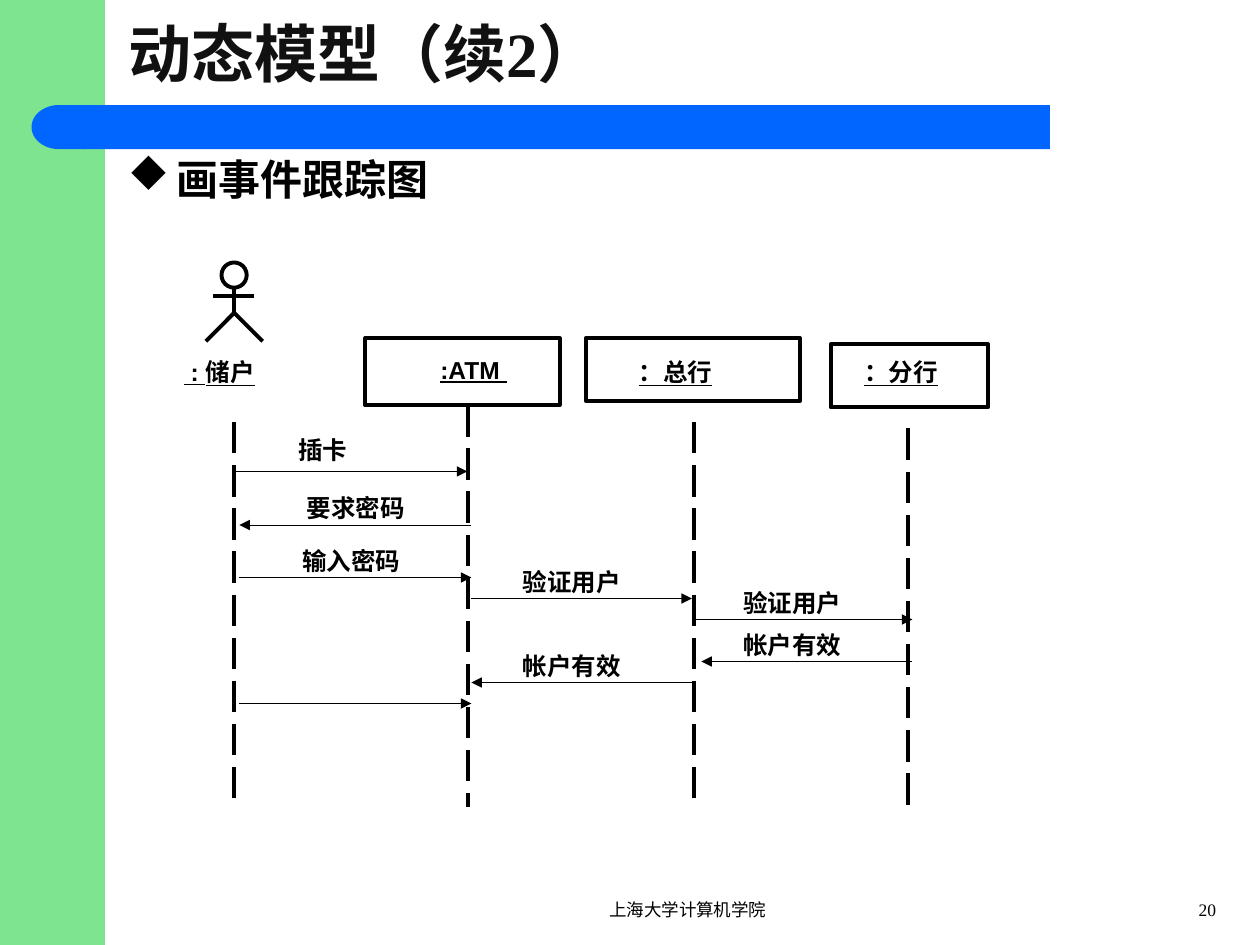
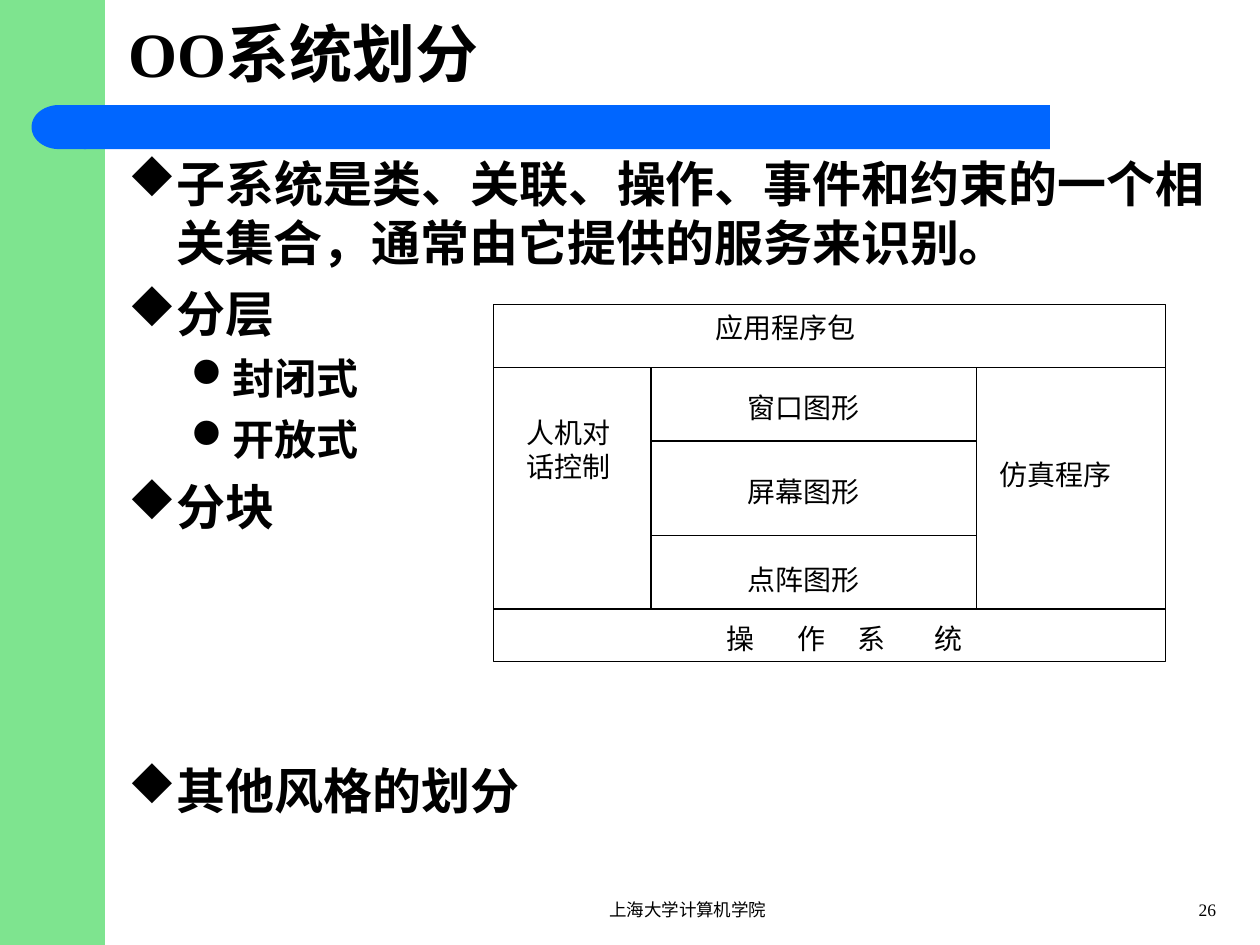
from pptx import Presentation
from pptx.dml.color import RGBColor
from pptx.enum.dml import MSO_LINE
from pptx.enum.shapes import MSO_CONNECTOR, MSO_SHAPE
from pptx.enum.text import MSO_ANCHOR, MSO_AUTO_SIZE, PP_ALIGN
from pptx.oxml.ns import qn
from pptx.util import Pt
from lxml.etree import SubElement

PX = 7620  # EMU; 120 px to the inch
color = RGBColor.from_string
BLACK, GREEN, BLUE = "000000", "7EE48F", "0066FF"
SERIF, SANS = "Times New Roman", "Arial"
LEFT, CENTER, RIGHT = PP_ALIGN.LEFT, PP_ALIGN.CENTER, PP_ALIGN.RIGHT


def add_text(slide, box, text, size, align=LEFT, wrap=True, insets=(12, 6), **font_values):
    shape = slide.shapes.add_textbox(*[PX * length for length in box])
    frame = shape.text_frame
    frame.word_wrap = wrap
    frame.margin_left = frame.margin_right = PX * insets[0]
    frame.margin_top = frame.margin_bottom = PX * insets[1]
    frame.text = text
    paragraph = frame.paragraphs[0]
    paragraph.alignment = align
    paragraph.font.color.rgb = color(BLACK)
    for name, value in {"name": SERIF, "size": Pt(size), **font_values}.items():
        setattr(paragraph.font, name, value)
    return frame


def add_line(slide, x1, y1, x2, y2, width=0.75, dash=None, arrow=False):
    line = slide.shapes.add_connector(
        MSO_CONNECTOR.STRAIGHT, *[PX * length for length in (x1, y1, x2, y2)])
    line.line.color.rgb = color(BLACK)
    line.line.width = Pt(width)
    if dash:
        line.line.dash_style = dash
    properties = line._element.spPr
    if arrow:
        SubElement(properties.find(qn("a:ln")), qn("a:tailEnd"), type="triangle")
    SubElement(properties, qn("a:effectLst"))


presentation = Presentation()
presentation.slide_width, presentation.slide_height = 1200 * PX, 900 * PX

# Shared bands, titles, body text and footers
bands = [
    (MSO_SHAPE.RECTANGLE, (0, 0, 100, 900), GREEN, 0),
    (MSO_SHAPE.RECTANGLE, (80, 100, 920, 42), BLUE, 0),
    (MSO_SHAPE.FLOWCHART_DELAY, (30, 100, 52, 42), BLUE, 180),
]
# Wingdings draws these two letters as a diamond and a disc
DIAMOND, DISC = "u", "l"
# Level: bullet, left margin, first-line indent, text size, space before
levels = {
    0: (DIAMOND, 46, -46, 28, 7),
    1: (DISC, 97, -37, 24, 6),
    "heading": (DIAMOND, 46, -46, 24, 6),
    "after gap": (DIAMOND, 46, -46, 28, 129),
}
pages = [
    ("动态模型（续2）", "111111", "20", [("heading", "画事件跟踪图")]),
    ("OO系统划分", BLACK, "26", [
        (0, "子系统是类、关联、操作、事件和约束的一个相关集合，通常由它提供的服务来识别。"),
        (0, "分层"),
        (1, "封闭式"),
        (1, "开放式"),
        (0, "分块"),
        ("after gap", "其他风格的划分"),
    ]),
]
for title_text, title_color, number, items in pages:
    slide = presentation.slides.add_slide(presentation.slide_layouts[5])
    for kind, box, fill, rotation in bands:
        band = slide.shapes.add_shape(kind, *[PX * length for length in box])
        band.rotation = rotation
        band.shadow.inherit = False
        band.fill.solid()
        band.fill.fore_color.rgb = color(fill)
        band.line.fill.background()

    title = slide.shapes.title
    title.left, title.top, title.width, title.height = 110 * PX, 0, 1040 * PX, 100 * PX
    title.text_frame.text = title_text
    title.text_frame.auto_size = MSO_AUTO_SIZE.NONE
    title.text_frame.vertical_anchor = MSO_ANCHOR.MIDDLE
    title_paragraph = title.text_frame.paragraphs[0]
    title_paragraph.alignment = LEFT
    bold_texts = [(title_paragraph, title_color, 36)]

    body = slide.shapes.add_textbox(110 * PX, 140 * PX, 1070 * PX, 690 * PX).text_frame
    body.word_wrap = True
    for index, (level, text) in enumerate(items):
        bullet, margin, indent, size, space = levels[level]
        paragraph = body.add_paragraph() if index else body.paragraphs[0]
        paragraph.text = text
        properties = paragraph._p.get_or_add_pPr()
        properties.set("marL", str(margin * PX))
        properties.set("indent", str(indent * PX))
        bullet_color = SubElement(properties, qn("a:buClr"))
        SubElement(bullet_color, qn("a:srgbClr"), val=BLACK)
        SubElement(properties, qn("a:buFont"), typeface="Wingdings", charset="2")
        SubElement(properties, qn("a:buChar"), char=bullet)
        if level == 1:
            paragraph.level = 1
        if index:
            paragraph.space_before = Pt(space)
        bold_texts.append((paragraph, BLACK, size))

    for paragraph, text_color, size in bold_texts:
        paragraph.font.color.rgb = color(text_color)
        for name, value in {"name": SERIF, "size": Pt(size), "bold": True}.items():
            setattr(paragraph.font, name, value)

    add_text(slide, (450, 850, 410, 30), "上海大学计算机学院", 10, CENTER)
    add_text(slide, (1080, 850, 90, 30), number, 10, RIGHT)

trace_slide, layer_slide = presentation.slides

# Event trace: the depositor as a stick figure
head = trace_slide.shapes.add_shape(
    MSO_SHAPE.OVAL, *[PX * length for length in (211, 250, 24, 24)])
legs_builder = trace_slide.shapes.build_freeform(196, 325, scale=PX)
legs_builder.add_line_segments([(223, 298), (250, 325)], close=False)
outlines = [(head, 2.25), (legs_builder.convert_to_shape(), 2.25)]
add_line(trace_slide, 223, 274, 223, 298, 2.25)
add_line(trace_slide, 203, 282, 242, 282, 2.25)

# Object boxes of the trace and the frame of the layer diagram
for slide, box, width in [
    (trace_slide, (348, 322, 185, 64), 2.25),
    (trace_slide, (558, 322, 204, 60), 2.25),
    (trace_slide, (791, 328, 150, 60), 2.25),
    (layer_slide, (470, 290, 640, 340), 0.75),
]:
    rectangle = slide.shapes.add_shape(
        MSO_SHAPE.RECTANGLE, *[PX * length for length in box])
    outlines.append((rectangle, width))
for shape, width in outlines:
    shape.shadow.inherit = False
    shape.fill.background()
    shape.line.color.rgb = color(BLACK)
    shape.line.width = Pt(width)

# Participants: name, label left, top and width, alignment, lifeline x, top and bottom
label_format = {"wrap": False, "insets": (0, 0), "name": SANS, "bold": True}
participants = [
    (" : 储户", 175, 340, 90, LEFT, 223, 402, 769),
    (":ATM ", 368, 338, 166, CENTER, 446, 386, 769),
    ("：总行", 569, 340, 149, CENTER, 661, 402, 769),
    ("：分行", 823, 340, 90, LEFT, 865, 408, 774),
]
for name, left, top, width, align, x, start, end in participants:
    add_text(trace_slide, (left, top, width, 28), name, 14, align,
             underline=True, **label_format)
    add_line(trace_slide, x, start, x, end, 2.25, MSO_LINE.LONG_DASH)

# Messages: from x, to x, y, line width, label, label left and top
messages = [
    (223, 445, 449, 0.5, "插卡", 284, 414),
    (449, 228, 500, 0.5, "要求密码", 292, 470),
    (228, 449, 550, 0.75, "输入密码", 288, 520),
    (449, 659, 570, 0.75, "验证用户", 498, 540),
    (659, 869, 590, 0.75, "验证用户", 708, 560),
    (869, 668, 630, 0.75, "帐户有效", 708, 600),
    (659, 449, 650, 0.75, "帐户有效", 498, 620),
    (228, 449, 670, 0.75, "", 0, 0),
]
for start, end, y, width, label, left, top in messages:
    add_line(trace_slide, start, y, end, y, width, arrow=True)
    if label:
        add_text(trace_slide, (left, top, 26 * len(label), 28), label, 14, **label_format)

# Layer diagram: dividing lines and layer names
for left, right, rows in [(470, 1110, (350, 580)), (620, 930, (420, 510))]:
    for y in rows:
        add_line(layer_slide, left, y, right, y)
for x in (620, 930):
    add_line(layer_slide, x, 350, x, 580)

layers = [
    ("应用程序包", 670, 290, 240),
    ("人机对话控制", 490, 390, 110),
    ("窗口图形", 700, 366, 150),
    ("屏幕图形", 700, 446, 150),
    ("点阵图形", 700, 530, 150),
    ("仿真程序", 940, 430, 150),
]
for name, left, top, width in layers:
    add_text(layer_slide, (left, top, width, 44), name, 16)

system = add_text(layer_slide, (680, 586, 330, 44), "操\t作\t系\t统", 16).paragraphs[0]
properties = system._p.get_or_add_pPr()
tab_list = SubElement(properties, qn("a:tabLst"))
for position in (68, 125, 198):
    SubElement(tab_list, qn("a:tab"), pos=str(position * PX), algn="l")
properties.insert(0, tab_list)

presentation.save("out.pptx")
